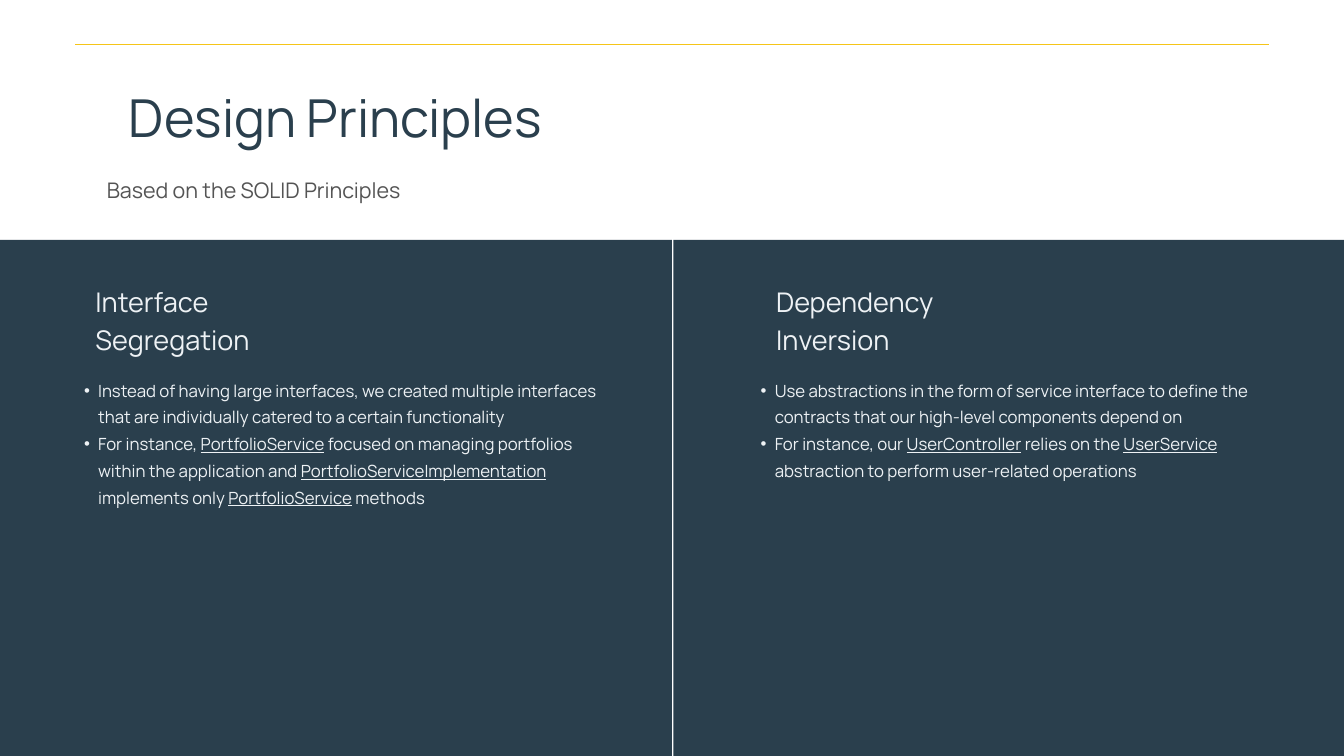
"""Build the Design Principles slide on interface segregation and dependency inversion."""
from lxml import etree
from pptx import Presentation
from pptx.dml.color import RGBColor
from pptx.enum import shapes, text
from pptx.oxml import ns
from pptx.util import Pt

NAVY = RGBColor(0x2A, 0x3F, 0x4D)
GRAY = RGBColor(0x54, 0x54, 0x54)
PALE = RGBColor(0xEE, 0xF2, 0xF5)
GOLD = RGBColor(0xF5, 0xC5, 0x18)

deck = Presentation()
deck.slide_width, deck.slide_height = Pt(1440), Pt(810)
slide = deck.slides.add_slide(deck.slide_layouts[6])


def write(paragraphs, box, size, color, spacing, align=text.PP_ALIGN.LEFT, bullets=False):
    """Add a text box; words between bars are underlined."""
    frame = slide.shapes.add_textbox(*map(Pt, box)).text_frame
    frame.word_wrap = True
    frame.margin_left = frame.margin_right = frame.margin_top = frame.margin_bottom = 0
    for number, content in enumerate(paragraphs):
        line = frame.add_paragraph() if number else frame.paragraphs[0]
        line.alignment = align
        line.line_spacing = Pt(spacing)
        if bullets:
            line.level = 1
            properties = line._p.get_or_add_pPr()
            properties.set("marL", str(Pt(30.24)))
            properties.set("indent", str(Pt(-15.12)))
            etree.SubElement(properties, ns.qn("a:buFont"), typeface="Arial")
            etree.SubElement(properties, ns.qn("a:buChar"), char="•")
        for position, words in enumerate(content.split("|")):
            run = line.add_run()
            run.text = words
            run.font.name = "Manrope"
            run.font.size = Pt(size)
            run.font.color.rgb = color
            if position % 2:
                run.font.underline = True


principles = [
    (0, 720, 102.24, 74.88, 581.04, "Interface Segregation", [
        "Instead of having large interfaces, we created multiple interfaces "
        "that are individually catered to a certain functionality",
        "For instance, |PortfolioService| focused on managing portfolios within the application and "
        "|PortfolioServiceImplementation| implements only |PortfolioService| methods",
    ]),
    (721.44, 718.56, 831.6, 799.92, 578.88, "Dependency Inversion", [
        "Use abstractions in the form of service interface to define the contracts "
        "that our high-level components depend on",
        "For instance, our |UserController| relies on the |UserService| abstraction "
        "to perform user-related operations",
    ]),
]

write(["Design Principles "], (104.4, 91.44, 521.28, 71.28), 56, NAVY, 67.2,
      align=text.PP_ALIGN.CENTER)
write(["Based on the SOLID Principles"], (114.48, 180.72, 457.92, 35.28), 23, GRAY, 36.8)

for panel_left, panel_width, heading_left, points_left, points_width, heading, points in principles:
    panel = slide.shapes.add_shape(shapes.MSO_SHAPE.RECTANGLE, Pt(panel_left), Pt(257.04),
                                   Pt(panel_width), Pt(552.96))
    panel.shadow.inherit = False
    panel.fill.solid()
    panel.fill.fore_color.rgb = NAVY
    panel.line.fill.background()
    write([heading], (heading_left, 300.24, 276.48, 81.36), 29, PALE, 40.6)
    write(points, (points_left, 400.32, points_width, 28.8 * (len(points) + 3)), 18, PALE, 28.8,
          bullets=True)

rule = slide.shapes.add_connector(shapes.MSO_CONNECTOR.STRAIGHT, Pt(80.64), Pt(47.52),
                                  Pt(1359.36), Pt(47.52))
rule.line.color.rgb = GOLD
rule.line.width = Pt(1.5)
etree.SubElement(rule._element.spPr, ns.qn("a:effectLst"))

deck.save("out.pptx")
